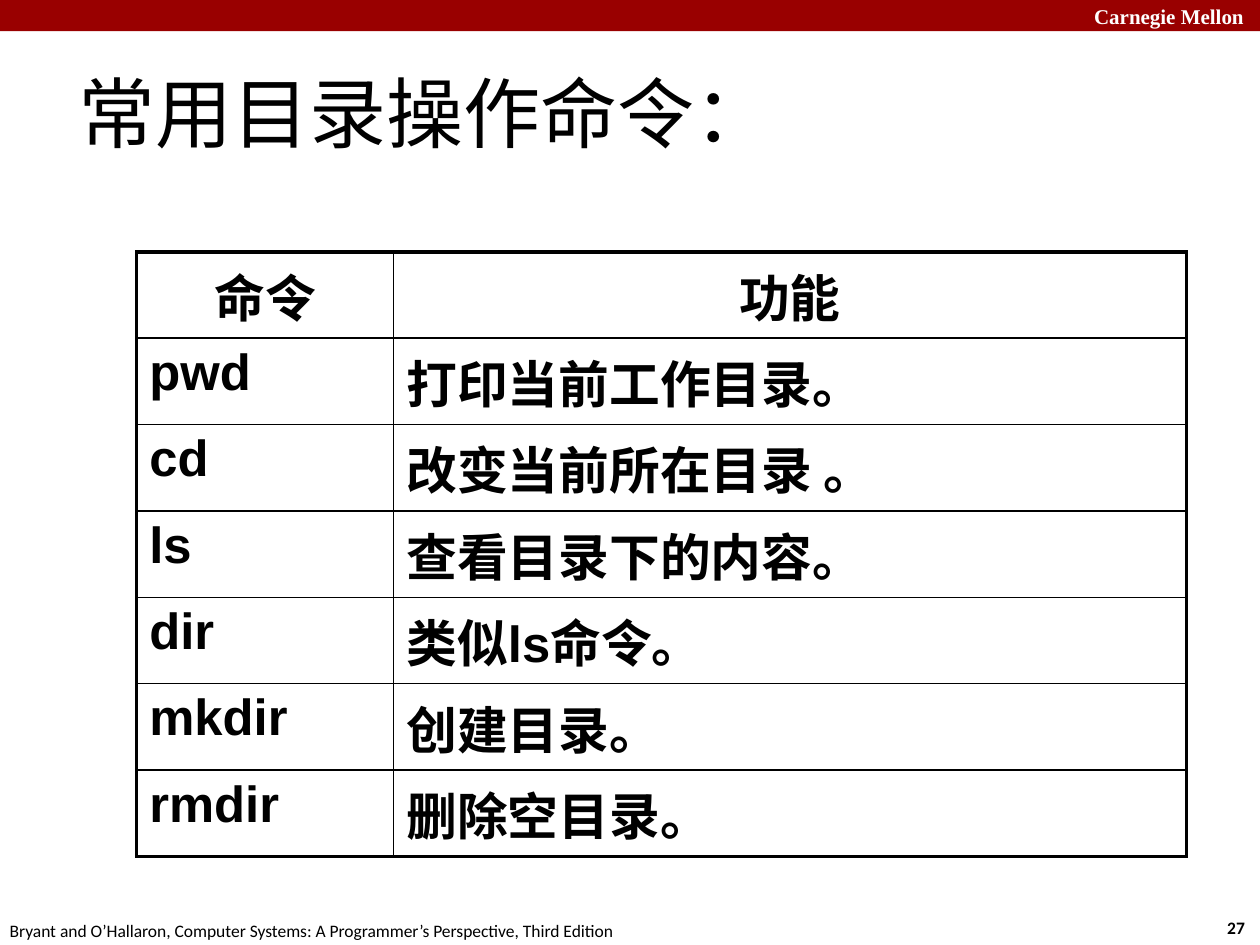
import pptx
import pptx.util
import pptx.dml.color
import pptx.enum.shapes
import pptx.enum.text
import pptx.oxml

WIDE, HIGH = 10, 7.5
HUES = {"ink": "000000", "bar": "990000", "page": "FFFFFF"}
ALIGN = pptx.enum.text.PP_ALIGN
MID = pptx.enum.text.MSO_ANCHOR.MIDDLE
ROWS = [
    ("命令", "功能"),
    ("pwd", "打印当前工作目录。"),
    ("cd", "改变当前所在目录 。"),
    ("ls", "查看目录下的内容。"),
    ("dir", "类似ls命令。"),
    ("mkdir", "创建目录。"),
    ("rmdir", "删除空目录。"),
]
COLS = (20.4, 62.9)
TALL = 64
THICK, THIN = 2.25, 1


def hue(name):
    return pptx.dml.color.RGBColor.from_string(HUES[name])


def area(x, y, w, h):
    """Turn percent shares of the slide's size into lengths."""
    return [pptx.util.Inches(part * side / 100)
            for part, side in zip((x, y, w, h), (WIDE, HIGH) * 2)]


def write(frame, text, size=10, font="Calibri", color="ink",
          bold=False, align=ALIGN.LEFT):
    par = frame.paragraphs[0]
    par.alignment = align
    run = par.add_run()
    run.text = text
    run.font.size = pptx.util.Pt(size)
    run.font.name = font
    run.font.bold = bold
    run.font.color.rgb = hue(color)


def label(slide, box, text, wrap=False, inset=None, anchor=None, **style):
    frame = slide.shapes.add_textbox(*area(*box)).text_frame
    frame.word_wrap = wrap
    if anchor is not None:
        frame.vertical_anchor = anchor
    if inset is not None:
        for side in ("left", "top", "right", "bottom"):
            setattr(frame, "margin_" + side, pptx.util.Inches(inset))
    write(frame, text, **style)


def band(slide, box):
    shape = slide.shapes.add_shape(
        pptx.enum.shapes.MSO_SHAPE.RECTANGLE, *area(*box))
    shape.shadow.inherit = False
    shape.fill.solid()
    shape.fill.fore_color.rgb = hue("bar")
    shape.line.fill.background()


def edge(cell, sides):
    """Rule the cell's sides; widths come in points."""
    props = cell._tc.get_or_add_tcPr()
    for spot, (side, width) in enumerate(sides.items()):
        props.insert(spot, pptx.oxml.parse_xml(
            '<a:ln%s xmlns:a="http://schemas.openxmlformats.org/drawingml/2006/main"'
            ' w="%d"><a:solidFill><a:srgbClr val="%s"/></a:solidFill></a:ln%s>'
            % (side, pptx.util.Pt(width), HUES["ink"], side)))


def grid(slide, left, top):
    high, wide = len(ROWS), len(COLS)
    box = area(left, top, sum(COLS), TALL)
    table = slide.shapes.add_table(high, wide, *box).table
    table.first_row = table.horz_banding = False
    for col, width in zip(table.columns, COLS):
        col.width = pptx.util.Inches(width * WIDE / 100)
    for r, row in enumerate(ROWS):
        table.rows[r].height = box[-1] // high
        for c, text in enumerate(row):
            cell = table.cell(r, c)
            cell.fill.background()
            # Outer rules are thick, inner ones thin
            outer = {"L": c == 0, "R": c == wide - 1,
                     "T": r == 0, "B": r == high - 1}
            edge(cell, {side: THICK if out else THIN
                        for side, out in outer.items()})
            write(cell.text_frame, text, size=29, font="Arial", bold=True,
                  align=ALIGN.LEFT if r else ALIGN.CENTER)


def main():
    deck = pptx.Presentation()
    deck.slide_width = pptx.util.Inches(WIDE)
    deck.slide_height = pptx.util.Inches(HIGH)
    slide = deck.slides.add_slide(deck.slide_layouts[6])
    slide.background.fill.solid()
    slide.background.fill.fore_color.rgb = hue("page")

    # Footer
    label(slide, (96.25, 96.4, 3.7, 3.6), "27",
          bold=True, align=ALIGN.CENTER)
    label(slide, (-0.7, 96.7, 50.8, 3.6),
          "Bryant and O’Hallaron, Computer Systems: "
          "A Programmer’s Perspective, Third Edition", align=ALIGN.CENTER)

    # Top bar
    band(slide, (0, 0, 100, 3.3))
    label(slide, (85.85, -0.3, 13.9, 4), "Carnegie Mellon",
          size=12, font="Times New Roman", color="page", bold=True)

    # Title and table
    label(slide, (5.8, 5.5, 89.2, 12.7), "常用目录操作命令：",
          wrap=True, inset=0.04, anchor=MID, size=44)
    grid(slide, 10.85, 26.65)
    deck.save("out.pptx")


if __name__ == "__main__":
    main()
